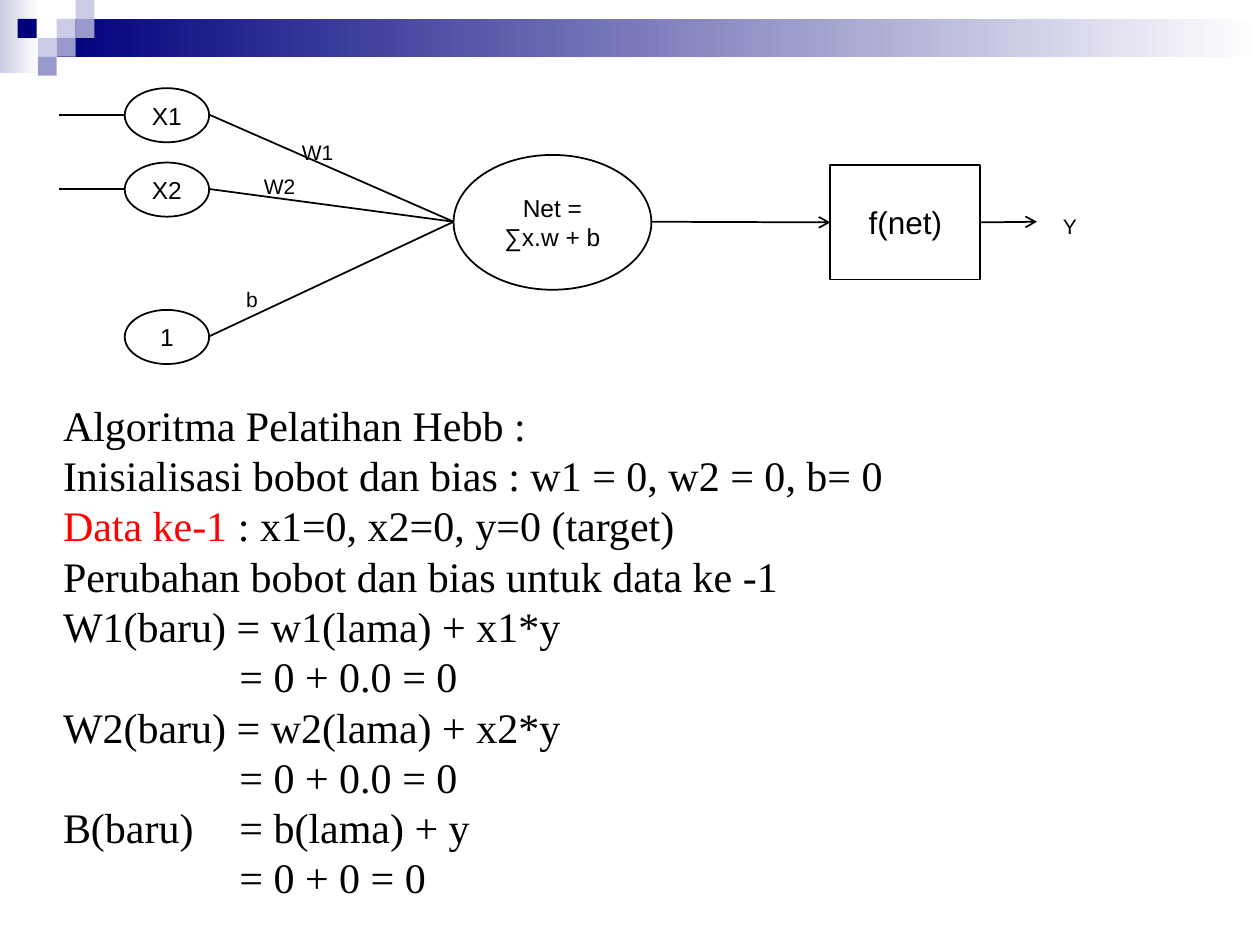
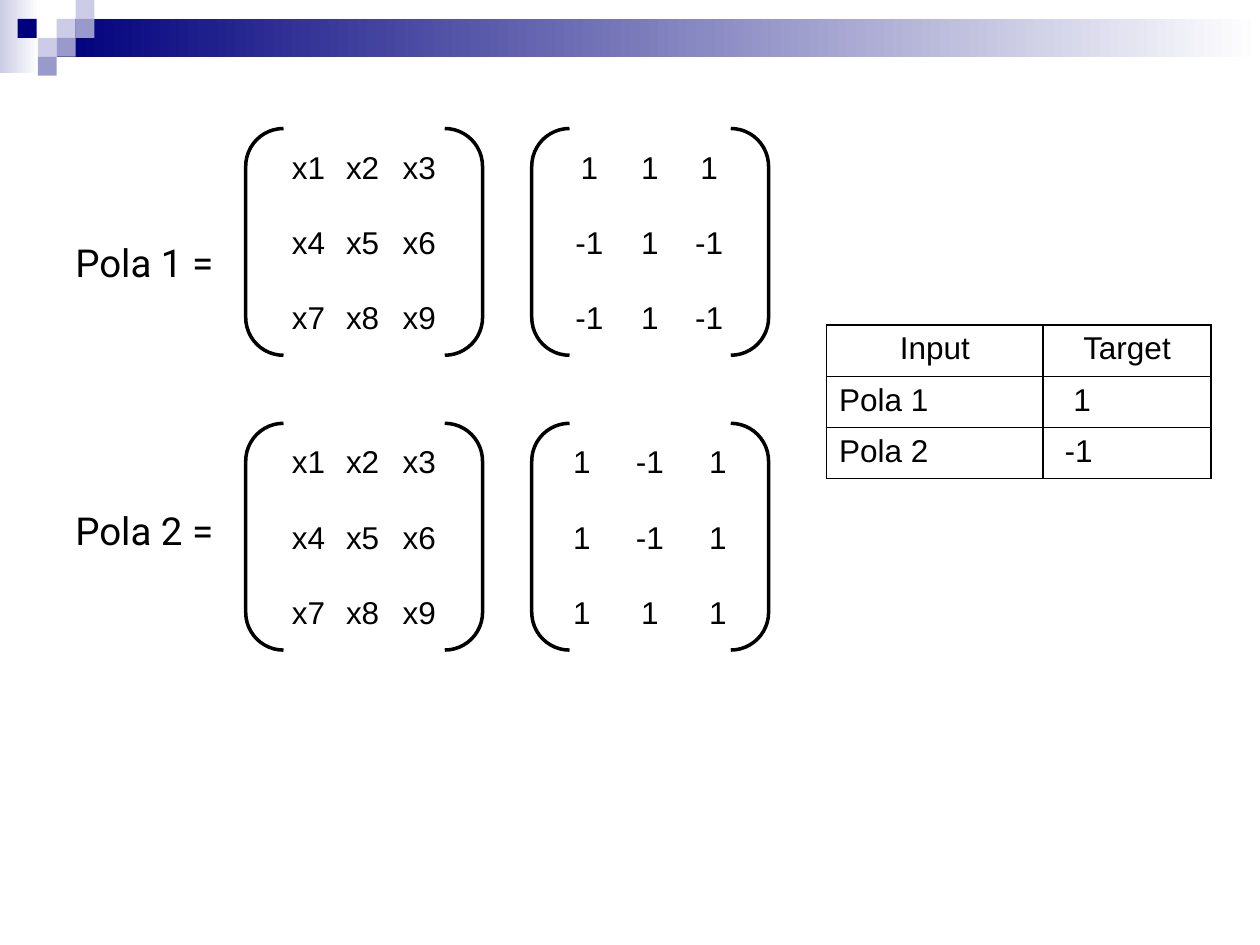
from lxml import etree
from pptx import Presentation
from pptx.dml.color import RGBColor
from pptx.enum.shapes import MSO_CONNECTOR, MSO_SHAPE
from pptx.enum.text import MSO_ANCHOR as Anchor, PP_ALIGN as Align
from pptx.oxml.ns import qn
from pptx.util import Inches, Pt

BLACK = RGBColor(0, 0, 0)
WHITE = RGBColor(255, 255, 255)
RED = RGBColor(255, 0, 0)
NAVY = RGBColor(0x00, 0x00, 0x7D)
MID = RGBColor(0x99, 0x99, 0xCC)
PALE = RGBColor(0xCC, 0xCC, 0xE6)

TILES = [(0.45, 0.15, PALE), (0.6, 0, PALE), (0.6, 0.15, MID),
         (0.3, 0.3, PALE), (0.14, 0.15, NAVY), (0.45, 0.3, MID),
         (0.3, 0.45, MID)]

STEPS = ["Algoritma Pelatihan Hebb :",
         "Inisialisasi bobot dan bias : w1 = 0, w2 = 0, b= 0",
         ("Data ke-1 ", ": x1=0, x2=0, y=0 (target)"),
         "Perubahan bobot dan bias untuk data ke -1",
         "W1(baru) = w1(lama) + x1*y",
         "\t= 0 + 0.0 = 0",
         "W2(baru) = w2(lama) + x2*y",
         "\t= 0 + 0.0 = 0",
         "B(baru)\t= b(lama) + y",
         "\t= 0 + 0 = 0"]

NAMES = ["x1 x2 x3", "x4 x5 x6", "x7 x8 x9"]
NAME_TABS = (0.41, 0.84, 1.29)
PATTERNS = [
    ("Pola 1 =", 2.08, 1.02, ["1 1 1", "-1 1 -1", "-1 1 -1"], (0.37, 0.85, 1.32)),
    ("Pola 2 =", 4.21, 3.36, ["1 -1 1", "1 -1 1", "1 1 1"], (0.31, 0.85, 1.39)),
]


def box(at):
    return [Inches(n) for n in at]


def style(para, size, face="Arial", align=Align.LEFT, color=BLACK):
    para.alignment = align
    font = para.font
    font.size, font.name = Pt(size), face
    font.color.rgb = color


def set_tabs(para, stops, align):
    tabs = etree.SubElement(para._p.get_or_add_pPr(), qn("a:tabLst"))
    for stop in stops:
        etree.SubElement(tabs, qn("a:tab"), pos=str(Inches(stop)), algn=align)


def shape(slide, kind, at, fill=None, line=None):
    item = slide.shapes.add_shape(kind, *box(at))
    item.shadow.inherit = False
    if fill is None:
        item.fill.background()
    else:
        item.fill.solid()
        item.fill.fore_color.rgb = fill
    if line is None:
        item.line.fill.background()
    else:
        item.line.color.rgb = BLACK
        item.line.width = Pt(line)
    return item


def fade(slide, at, color):
    """Bar that runs from a colour to white, left to right."""
    fill = shape(slide, MSO_SHAPE.RECTANGLE, at).fill
    fill.gradient()
    fill.gradient_angle = 0
    for stop, tone in zip(fill.gradient_stops, (color, WHITE)):
        stop.color.rgb = tone


def banner(slide):
    fade(slide, (0, 0, 0.31, 0.58), PALE)
    fade(slide, (0.45, 0.15, 9.55, 0.3), NAVY)
    for left, top, color in TILES:
        shape(slide, MSO_SHAPE.RECTANGLE, (left, top, 0.15, 0.15), color)


def node(slide, kind, at, text, size=14, fill=WHITE):
    item = shape(slide, kind, at, fill, 1)
    frame = item.text_frame
    frame.word_wrap = True
    frame.vertical_anchor = Anchor.MIDDLE
    frame.text = text
    style(frame.paragraphs[0], size, align=Align.CENTER)
    return item


def label(slide, at, text, size=12, face="Arial", align=Align.CENTER):
    frame = slide.shapes.add_textbox(*box(at)).text_frame
    frame.word_wrap = True
    frame.vertical_anchor = Anchor.MIDDLE
    frame.text = text
    style(frame.paragraphs[0], size, face, align)


def link(slide, start, end, arrow=False):
    line = slide.shapes.add_connector(MSO_CONNECTOR.STRAIGHT, *box(start + end))
    line.line.color.rgb = BLACK
    line.line.width = Pt(1)
    if arrow:
        etree.SubElement(line.line._get_or_add_ln(), qn("a:tailEnd"), type="arrow")
    etree.SubElement(line._element.spPr, qn("a:effectLst"))
    return line


def network(slide):
    oval = MSO_SHAPE.FLOWCHART_CONNECTOR
    hub = (3.6, 1.76)
    for text, mid, feed in [("X1", 0.91, True), ("X2", 1.5, True), ("1", 2.67, False)]:
        node(slide, oval, (0.99, mid - 0.21, 0.67, 0.43), text)
        link(slide, (1.66, mid), hub)
        if feed:
            link(slide, (0.99, mid), (0.47, mid))
    node(slide, oval, (3.6, 1.23, 1.57, 1.07), "Net = ∑x.w + b")
    rect = node(slide, MSO_SHAPE.RECTANGLE, (6.59, 1.31, 1.19, 0.91), "f(net)", 18, None)
    link(slide, (5.17, 1.76), (6.59, 1.76), True).end_connect(rect, 1)
    link(slide, (7.78, 1.76), (8.23, 1.76), True).begin_connect(rect, 3)
    for text, left, top in [("W1", 2.11, 1.07), ("W2", 1.81, 1.34),
                            ("b", 1.59, 2.24), ("Y", 8.08, 1.66)]:
        label(slide, (left, top, 0.82, 0.27), text)


def steps(slide):
    frame = slide.shapes.add_textbox(*box((0.28, 3.12, 9.29, 4.14))).text_frame
    frame.word_wrap = True
    frame.margin_left = Inches(0.22)
    for i, step in enumerate(STEPS):
        para = frame.add_paragraph() if i else frame.paragraphs[0]
        parts = (step,) if isinstance(step, str) else step
        for part in parts:
            para.add_run().text = part
        if "\t" in step:
            set_tabs(para, [1.4], "l")
        style(para, 24, "Times New Roman", Align.JUSTIFY)
        para.line_spacing = Pt(28.75)
        if len(parts) > 1:
            para.runs[0].font.color.rgb = RED


def matrix(slide, left, top, rows, stops):
    item = shape(slide, MSO_SHAPE.DOUBLE_BRACKET, (left, top, 1.88, 1.8), line=2)
    frame = item.text_frame
    frame.margin_left = frame.margin_right = 0
    frame.word_wrap = True
    frame.vertical_anchor = Anchor.MIDDLE
    for i, row in enumerate(rows):
        para = frame.add_paragraph() if i else frame.paragraphs[0]
        para.text = "".join("\t" + cell for cell in row.split())
        set_tabs(para, stops, "ctr")
        style(para, 18)
        para.line_spacing = Pt(21.5)
        if i:
            para.space_before = Pt(21.5)


def border(cell):
    props = cell._tc.get_or_add_tcPr()
    for i, side in enumerate(("lnL", "lnR", "lnT", "lnB")):
        line = etree.Element(qn("a:" + side), w=str(Pt(1)))
        fill = etree.SubElement(line, qn("a:solidFill"))
        etree.SubElement(fill, qn("a:srgbClr"), val=str(BLACK))
        props.insert(i, line)


def targets(slide):
    rows = [("Input", "Target"), ("Pola 1", "1"), ("Pola 2", "-1")]
    insets = {"1": 0.24, "-1": 0.17}
    table = slide.shapes.add_table(3, 2, *box((6.56, 2.58, 3.05, 1.22))).table
    table.first_row = table.horz_banding = False
    for col, width in zip(table.columns, (1.72, 1.33)):
        col.width = Inches(width)
    for r, row in enumerate(rows):
        for c, text in enumerate(row):
            cell = table.cell(r, c)
            cell.text = text
            cell.margin_left = Inches(insets.get(text, 0.1))
            cell.fill.background()
            border(cell)
            style(cell.text_frame.paragraphs[0], 18,
                  align=Align.LEFT if r else Align.CENTER)


def main():
    deck = Presentation()
    deck.slide_width, deck.slide_height = Inches(10), Inches(7.5)
    hebb, data = [deck.slides.add_slide(deck.slide_layouts[6]) for _ in range(2)]
    for slide in (hebb, data):
        banner(slide)

    network(hebb)
    steps(hebb)

    for name, mid, top, values, stops in PATTERNS:
        label(data, (0.5, mid - 0.25, 1.4, 0.5), name, 22, "Roboto", Align.LEFT)
        matrix(data, 1.95, top, NAMES, NAME_TABS)
        matrix(data, 4.22, top, values, stops)
    targets(data)
    deck.save("out.pptx")


if __name__ == "__main__":
    main()
